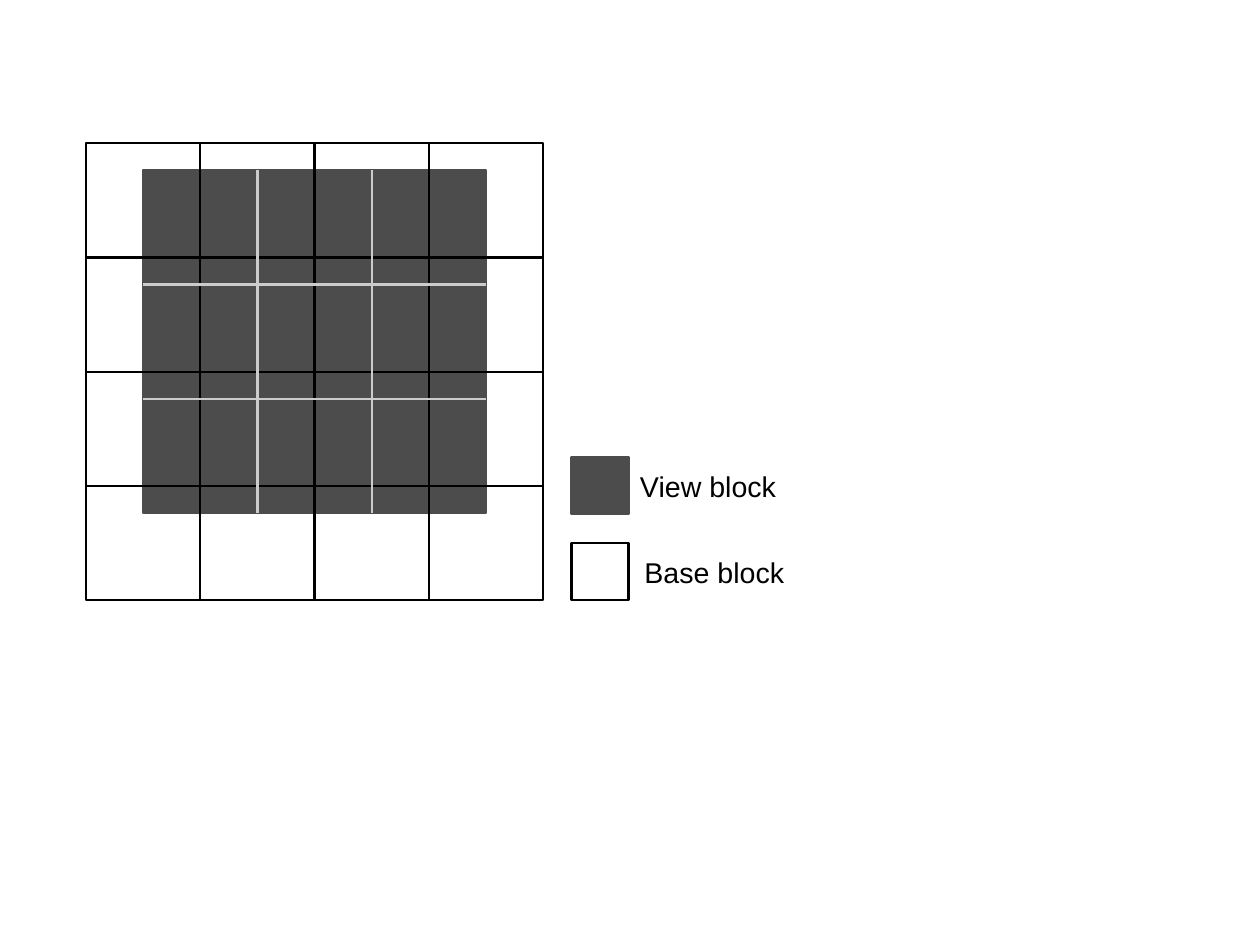
from lxml import etree
from pptx import Presentation
from pptx.dml.color import RGBColor
from pptx.enum.shapes import MSO_CONNECTOR, MSO_SHAPE
from pptx.enum.text import MSO_ANCHOR, PP_ALIGN
from pptx.oxml.ns import qn
from pptx.util import Cm, Pt

RECTANGLE = MSO_SHAPE.RECTANGLE
STRAIGHT = MSO_CONNECTOR.STRAIGHT
MIDDLE = MSO_ANCHOR.MIDDLE
CENTER = PP_ALIGN.CENTER

BLACK = RGBColor(0x00, 0x00, 0x00)
DARK_GREY = RGBColor(0x4C, 0x4C, 0x4C)
LIGHT_GREY = RGBColor(0xCC, 0xCC, 0xCC)

# Content: lengths in cm
BLOCK = 2.54
LINE_WIDTH = Pt(1.45)
VIEW = {"left": 3.18, "top": 3.78, "count": 3}
BASE = {"left": 1.91, "top": 3.18, "count": 4}
LEGEND = [  # label, fill, outline, label width
    ("View block", DARK_GREY, DARK_GREY, 3.53),
    ("Base block", None, BLACK, 3.81),
]
LEGEND_LEFT, LEGEND_TOP, LEGEND_STEP = 12.7, 10.16, 1.91
SWATCH = BLOCK / 2


def add_square(shapes, left, top, size, fill, outline):
    square = shapes.add_shape(RECTANGLE, Cm(left), Cm(top), Cm(size), Cm(size))
    square.shadow.inherit = False
    if fill is None:
        square.fill.background()
    else:
        square.fill.solid()
        square.fill.fore_color.rgb = fill
    square.line.color.rgb = outline
    square.line.width = LINE_WIDTH


def add_line(shapes, x1, y1, x2, y2, color):
    line = shapes.add_connector(STRAIGHT, Cm(x1), Cm(y1), Cm(x2), Cm(y2))
    line.line.color.rgb = color
    line.line.width = LINE_WIDTH
    etree.SubElement(line._element.spPr, qn("a:effectLst"))


def add_dividers(shapes, left, top, count, color):
    size = count * BLOCK
    offsets = [i * BLOCK for i in range(1, count)]
    for offset in offsets:
        add_line(shapes, left + offset, top, left + offset, top + size, color)
    for offset in offsets:
        add_line(shapes, left, top + offset, left + size, top + offset, color)


def add_label(shapes, text, left, top, width):
    label = shapes.add_textbox(Cm(left), Cm(top), Cm(width), Cm(SWATCH))
    frame = label.text_frame
    frame.word_wrap = False
    frame.vertical_anchor = MIDDLE
    paragraph = frame.paragraphs[0]
    paragraph.alignment = CENTER
    run = paragraph.add_run()
    run.text = text
    run.font.name = "Arial"
    run.font.size = Pt(18)
    run.font.color.rgb = BLACK


def main():
    prs = Presentation()
    prs.slide_width, prs.slide_height = Cm(28), Cm(21)
    shapes = prs.slides.add_slide(prs.slide_layouts[6]).shapes

    # View area, with the base grid over it and its own dividers on top
    add_square(shapes, VIEW["left"], VIEW["top"], VIEW["count"] * BLOCK,
               DARK_GREY, DARK_GREY)
    base_grid = shapes.add_group_shape().shapes
    add_square(base_grid, BASE["left"], BASE["top"], BASE["count"] * BLOCK,
               None, BLACK)
    add_dividers(base_grid, **BASE, color=BLACK)
    add_dividers(shapes, **VIEW, color=LIGHT_GREY)

    # Legend
    for row, (text, fill, outline, width) in enumerate(LEGEND):
        top = LEGEND_TOP + row * LEGEND_STEP
        add_square(shapes, LEGEND_LEFT, top, SWATCH, fill, outline)
        add_label(shapes, text, LEGEND_LEFT + SWATCH, top, width)

    prs.save("out.pptx")


if __name__ == "__main__":
    main()
